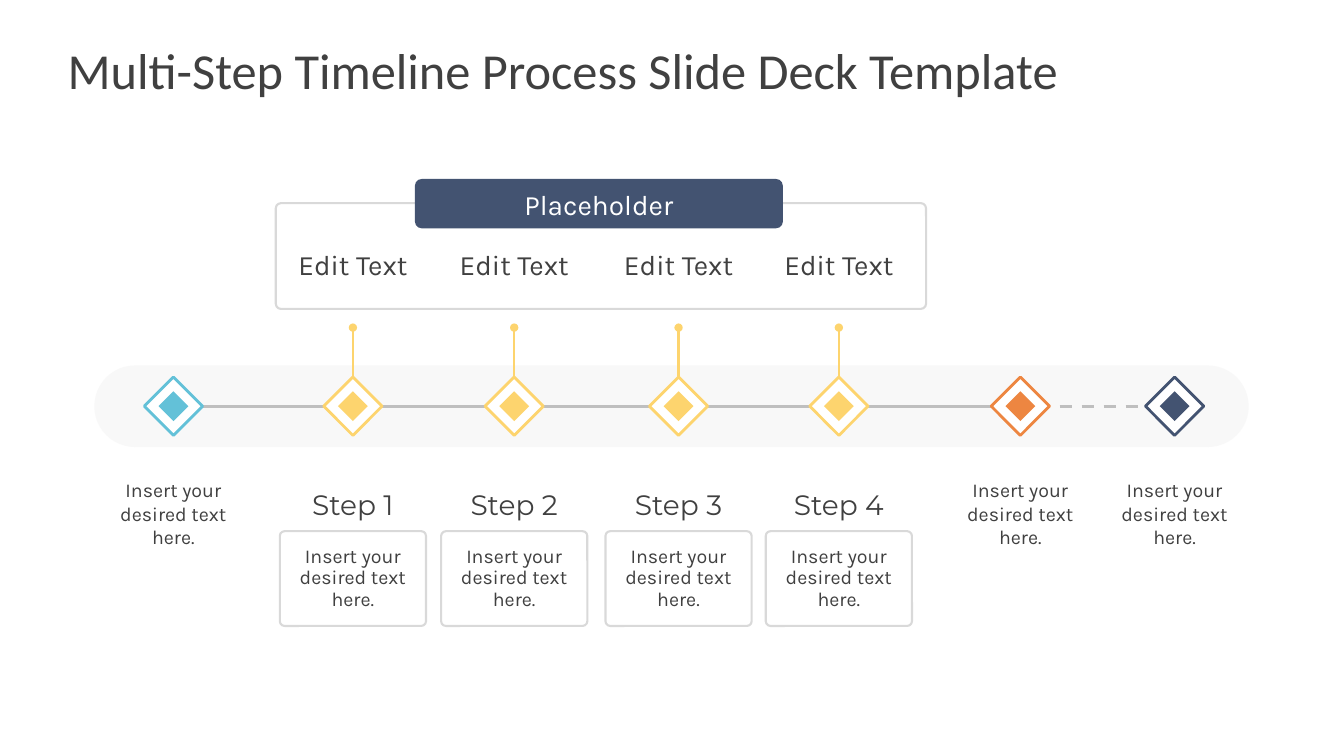
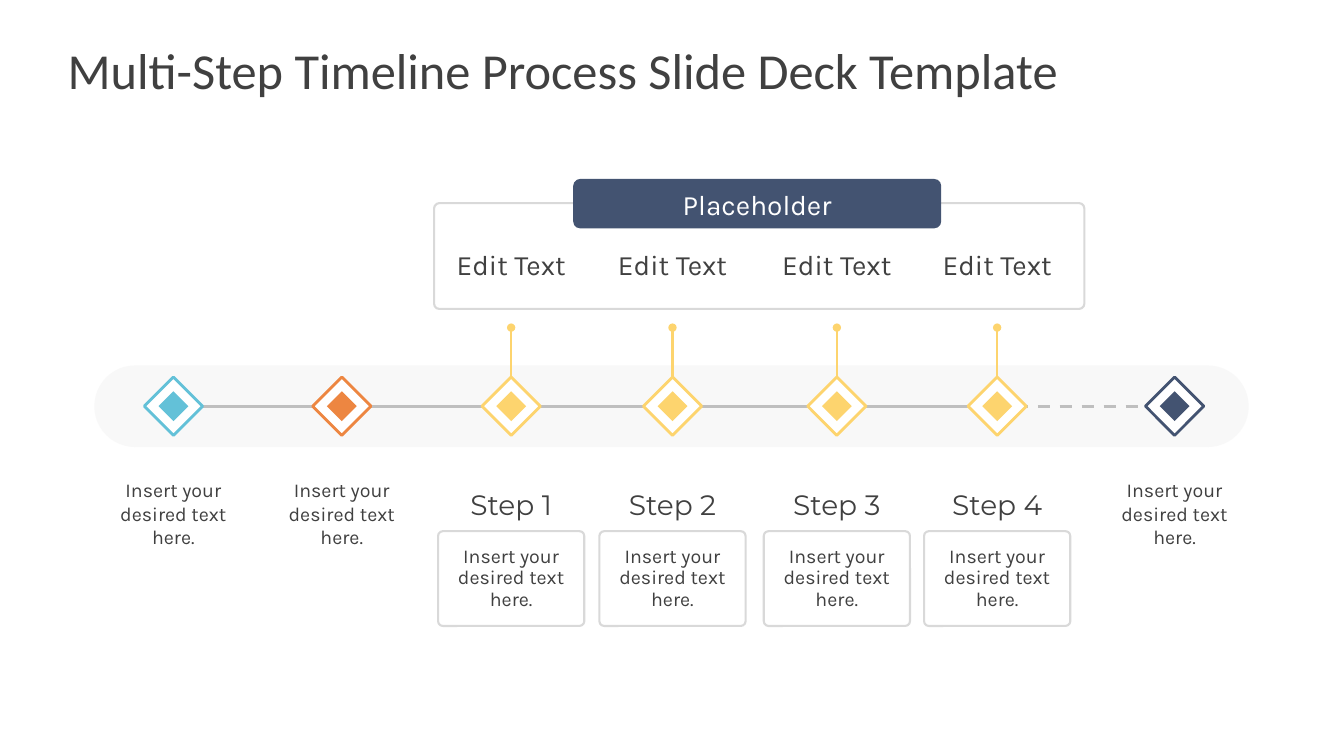
from lxml.etree import SubElement
from pptx import Presentation
from pptx.dml.color import RGBColor
from pptx.enum.dml import MSO_LINE
from pptx.enum.shapes import MSO_CONNECTOR, MSO_SHAPE
from pptx.enum.text import MSO_ANCHOR, MSO_AUTO_SIZE, PP_ALIGN
from pptx.oxml.ns import qn
from pptx.util import Inches, Pt

# Colours and fonts
WHITE = RGBColor(0xFF, 0xFF, 0xFF)
INK = RGBColor(0x40, 0x40, 0x40)
BAND = RGBColor(0xF2, 0xF2, 0xF2)
TRACK = RGBColor(0xBF, 0xBF, 0xBF)
BORDER = RGBColor(0xD9, 0xD9, 0xD9)
TEAL = RGBColor(0x63, 0xC1, 0xD8)
YELLOW = RGBColor(0xFD, 0xD4, 0x6E)
ORANGE = RGBColor(0xED, 0x86, 0x41)
NAVY = RGBColor(0x43, 0x53, 0x71)
TITLE_FONT, BODY_FONT, STEP_FONT = "Calibri", "Karla", "Montserrat"

# Content: milestones are (centre, colour); steps are offset from the first one
TITLE = "Multi-Step Timeline Process Slide Deck Template"
CAPTION = "Insert your desired text here."
HEADING = "Placeholder"
STEPS = [
    ("Step 1", "Edit Text", 0),
    ("Step 2", "Edit Text", 1.6),
    ("Step 3", "Edit Text", 3.23),
    ("Step 4", "Edit Text", 4.82),
]
SLIDES = [
    {"first_step": 3.5,
     "milestones": [(1.72, TEAL), (10.12, ORANGE), (11.65, NAVY)]},
    {"first_step": 5.07,
     "milestones": [(1.72, TEAL), (3.39, ORANGE), (11.65, NAVY)]},
]

# Shared positions, in inches
AXIS = 4.03
DASH_START, DASH_END = 9.64, 11.62


def add_box(shapes, kind, centre, middle, width, height,
            fill=None, border=None, weight=1.5, radius=None):
    """Add a shape placed by its centre point."""
    box = shapes.add_shape(kind, Inches(centre - width / 2),
                           Inches(middle - height / 2),
                           Inches(width), Inches(height))
    box.shadow.inherit = False
    if fill is None:
        box.fill.background()
    else:
        box.fill.solid()
        box.fill.fore_color.rgb = fill
    if border is None:
        box.line.fill.background()
    else:
        box.line.color.rgb = border
        box.line.width = Pt(weight)
    if radius is not None:
        box.adjustments[0] = radius
    return box


def add_span(para, text, size, font, color):
    span = para.add_run()
    span.text = text
    span.font.size = Pt(size)
    span.font.name = font
    span.font.color.rgb = color


def add_label(page, text, centre, top, width, height, size=14,
              font=BODY_FONT, color=INK, spacing=None):
    box = page.shapes.add_textbox(Inches(centre - width / 2), Inches(top),
                                  Inches(width), Inches(height))
    frame = box.text_frame
    frame.word_wrap = True
    frame.auto_size = MSO_AUTO_SIZE.SHAPE_TO_FIT_TEXT
    frame.vertical_anchor = MSO_ANCHOR.MIDDLE
    frame.margin_left = frame.margin_right = 0
    frame.margin_top = frame.margin_bottom = 0
    para = frame.paragraphs[0]
    para.alignment = PP_ALIGN.CENTER
    if spacing:
        para.line_spacing = spacing
    add_span(para, text, size, font, color)


def add_line(page, start, end, color, weight):
    line = page.shapes.add_connector(MSO_CONNECTOR.STRAIGHT,
                                     *(Inches(value) for value in start + end))
    line.line.color.rgb = color
    line.line.width = Pt(weight)
    SubElement(line._element.spPr, qn("a:effectLst"))
    return line


def add_title(page):
    title = page.shapes.title
    title.left, title.top = Inches(0.67), Inches(0.3)
    title.width, title.height = Inches(12), Inches(0.78)
    frame = title.text_frame
    frame.word_wrap = True
    frame.auto_size = MSO_AUTO_SIZE.NONE
    frame.vertical_anchor = MSO_ANCHOR.MIDDLE
    frame.margin_left = frame.margin_right = 0
    frame.margin_top = frame.margin_bottom = Inches(0.07)
    para = frame.paragraphs[0]
    para.alignment = PP_ALIGN.LEFT
    add_span(para, TITLE, 36, TITLE_FONT, INK)


def add_track(page, centres):
    """Add the pale band and the line that links the nodes."""
    band = add_box(page.shapes, MSO_SHAPE.ROUNDED_RECTANGLE, 6.66, AXIS,
                   11.45, 0.81, fill=BAND, radius=0.5)
    band_color = band._element.spPr.find(qn("a:solidFill"))[0]
    SubElement(band_color, qn("a:alpha"), val="50000")
    solid = centres[:-1]
    for start, end in zip(solid, solid[1:]):
        add_line(page, (start, AXIS), (end, AXIS), TRACK, 2.25)
    dashed = add_line(page, (DASH_START, AXIS), (DASH_END, AXIS), TRACK, 2.25)
    dashed.line.dash_style = MSO_LINE.DASH


def add_node(page, centre, color):
    node = page.shapes.add_group_shape()
    for side, fill, border in ((0.41, WHITE, color), (0.21, color, None)):
        diamond = add_box(node.shapes, MSO_SHAPE.RECTANGLE, centre, AXIS,
                          side, side, fill, border, weight=2)
        diamond.rotation = 45


def add_panel(page, first_step):
    """Add the framed panel with its heading tab."""
    centre = first_step + 2.44
    add_box(page.shapes, MSO_SHAPE.ROUNDED_RECTANGLE, centre + 0.02, 2.54,
            6.45, 1.05, border=BORDER, radius=0.05)
    add_box(page.shapes, MSO_SHAPE.ROUNDED_RECTANGLE, centre, 2.02,
            3.65, 0.49, fill=NAVY, radius=0.14)
    add_label(page, HEADING, centre, 1.86, 3.04, 0.34, size=20, color=WHITE)


def add_step(page, centre, name, note):
    add_label(page, note, centre, 2.49, 1.61, 0.3, size=20, spacing=0.9)
    stem = add_line(page, (centre, 3.76), (centre, 3.25), YELLOW, 1.5)
    SubElement(stem.line._get_or_add_ln(), qn("a:tailEnd"), type="oval")
    add_node(page, centre, YELLOW)
    add_label(page, name, centre, 4.83, 1.4, 0.34, size=20, font=STEP_FONT)
    add_box(page.shapes, MSO_SHAPE.ROUNDED_RECTANGLE, centre, 5.74,
            1.45, 0.94, border=BORDER, radius=0.05)
    add_label(page, CAPTION, centre, 5.42, 1.3, 0.64, spacing=0.9)


def build_page(deck, first_step, milestones):
    page = deck.slides.add_slide(deck.slide_layouts[5])
    add_title(page)
    step_centres = [first_step + offset for _, _, offset in STEPS]
    add_track(page, sorted(step_centres + [centre for centre, _ in milestones]))
    for centre, color in milestones:
        add_node(page, centre, color)
        add_label(page, CAPTION, centre, 4.74, 1.4, 0.71)
    add_panel(page, first_step)
    for centre, (name, note, _) in zip(step_centres, STEPS):
        add_step(page, centre, name, note)


def main():
    deck = Presentation()
    deck.slide_width, deck.slide_height = Inches(13.33), Inches(7.5)
    for content in SLIDES:
        build_page(deck, **content)
    deck.save("out.pptx")


if __name__ == "__main__":
    main()
